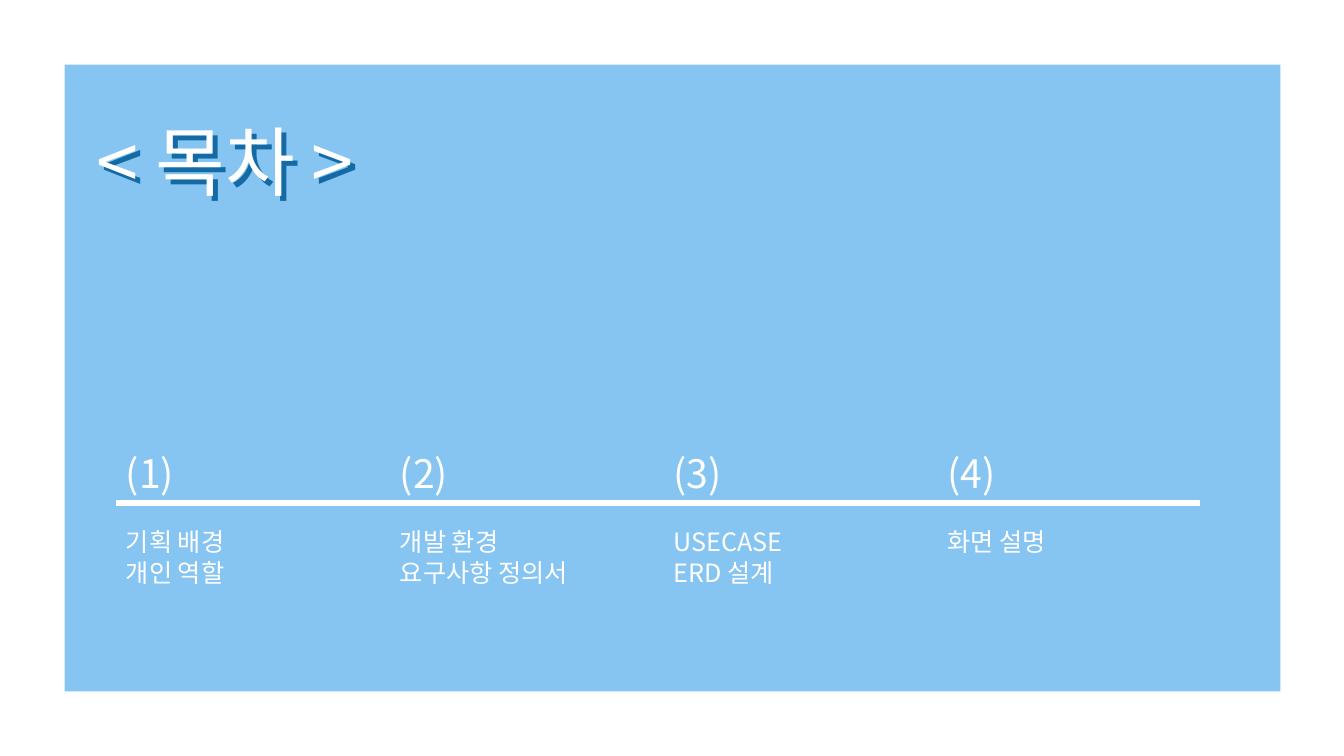
from lxml.etree import SubElement
from pptx import Presentation
from pptx.dml.color import RGBColor
from pptx.enum.shapes import MSO_CONNECTOR, MSO_SHAPE
from pptx.oxml.ns import qn
from pptx.util import Inches, Pt

WHITE = RGBColor(0xFF, 0xFF, 0xFF)
SKY = RGBColor(0x86, 0xC5, 0xF1)
DEEP_BLUE = RGBColor(0x13, 0x6A, 0xA5)
FONT = "Noto Sans CJK KR"

SECTIONS = [
    ("(1)", "기획 배경", "개인 역할"),
    ("(2)", "개발 환경", "요구사항 정의서"),
    ("(3)", "USECASE", "ERD 설계"),
    ("(4)", "화면 설명"),
]


def style_paragraph(para, text, size, color):
    para.text = text
    for span in para.runs:
        span.font.size = Pt(size)
        span.font.name = FONT
        span.font.color.rgb = color
        east_asian = SubElement(span.font._element, qn("a:ea"))
        east_asian.set("typeface", FONT)


def add_text_box(page, left, top, width, height):
    box = page.shapes.add_textbox(Inches(left), Inches(top), Inches(width), Inches(height))
    box.text_frame.word_wrap = True
    return box.text_frame


def add_panel(page, left, top, width, height):
    panel = page.shapes.add_shape(
        MSO_SHAPE.RECTANGLE, Inches(left), Inches(top), Inches(width), Inches(height))
    panel.shadow.inherit = False
    panel.fill.solid()
    panel.fill.fore_color.rgb = SKY
    panel.line.fill.background()


def add_title(page, left, top, width, height):
    # The dark layer sits slightly below and right of the white one
    for offset, color in ((0.05, DEEP_BLUE), (0, WHITE)):
        frame = add_text_box(page, left + offset, top + offset, width, height)
        style_paragraph(frame.paragraphs[0], "< 목차 >", 54, color)


def add_contents(page, left, top, width, height):
    # Rule between the numbers and the topics
    rule_top = Inches(top + 0.58)
    rule = page.shapes.add_connector(
        MSO_CONNECTOR.STRAIGHT, Inches(left), rule_top, Inches(left + width), rule_top)
    rule.line.color.rgb = WHITE
    rule.line.width = Pt(4.5)
    SubElement(rule._element.spPr, qn("a:effectLst"))

    # One column per section
    pitch = 2.717
    for column, (number, *topics) in enumerate(SECTIONS):
        frame = add_text_box(page, left + column * pitch, top, 2.88, height)
        style_paragraph(frame.paragraphs[0], number, 28, WHITE)
        for index, topic in enumerate(topics):
            para = frame.add_paragraph()
            style_paragraph(para, topic, 18, WHITE)
            if index == 0:
                para.space_before = Pt(21.5)


def main():
    deck = Presentation()
    deck.slide_width, deck.slide_height = Inches(13.33), Inches(7.5)
    page = deck.slides.add_slide(deck.slide_layouts[6])
    add_panel(page, 0.64, 0.64, 12.06, 6.22)
    add_title(page, 0.86, 1.09, 3.27, 1.01)
    add_contents(page, 1.15, 4.41, 10.75, 1.46)
    deck.save("out.pptx")


if __name__ == "__main__":
    main()
